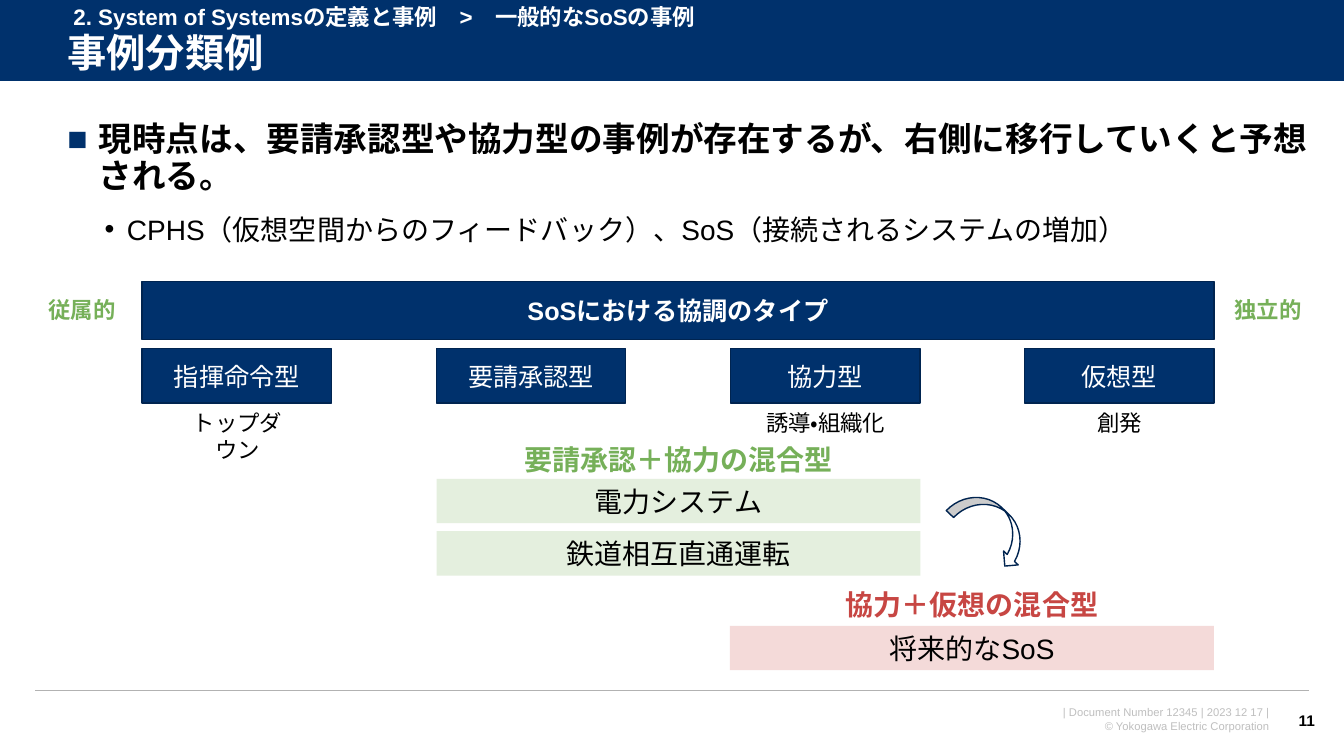
from dataclasses import dataclass

from lxml.etree import SubElement
from pptx import Presentation
from pptx.dml.color import RGBColor
from pptx.enum.lang import MSO_LANGUAGE_ID as LANG
from pptx.enum.shapes import MSO_CONNECTOR, MSO_SHAPE
from pptx.enum.text import MSO_ANCHOR, MSO_AUTO_SIZE, PP_ALIGN
from pptx.oxml.ns import qn
from pptx.util import Inches, Pt


@dataclass(frozen=True)
class Theme:
    font: str = "Arial"
    navy: str = "00316C"
    navy_edge: str = "002450"
    white: str = "FFFFFF"
    black: str = "000000"
    green: str = "76B059"
    pale_green: str = "E4EFDE"
    red: str = "C74643"
    pale_red: str = "F4DAD9"
    rule: str = "B2B2B2"
    footer: str = "BFBFBF"
    title_size: int = 28
    lead_size: int = 24
    body_size: int = 20
    type_size: int = 18
    label_size: int = 16
    number_size: int = 11
    footer_size: int = 8


T = Theme()
LEFT, CENTER, RIGHT = PP_ALIGN.LEFT, PP_ALIGN.CENTER, PP_ALIGN.RIGHT
TOP, MIDDLE = MSO_ANCHOR.TOP, MSO_ANCHOR.MIDDLE

prs = Presentation()
prs.slide_width, prs.slide_height = Inches(13.33), Inches(7.5)
s = prs.slides.add_slide(prs.slide_layouts[5])


def write(sp, lines, size, color, bold=False, align=CENTER, anchor=TOP):
    """Fill a shape with one paragraph per line and return its text frame."""
    tf = sp.text_frame
    tf.word_wrap, tf.auto_size, tf.vertical_anchor = True, MSO_AUTO_SIZE.NONE, anchor
    for i, line in enumerate(lines):
        p = tf.paragraphs[0] if i == 0 else tf.add_paragraph()
        p.alignment = align
        r = p.add_run()
        r.text = line
        look = {"name": T.font, "size": Pt(size), "bold": bold,
                "language_id": LANG.JAPANESE}
        for key, value in look.items():
            setattr(r.font, key, value)
        r.font.color.rgb = RGBColor.from_string(color)
    return tf


def add_block(box, fill, edge=None, kind=MSO_SHAPE.RECTANGLE):
    """Add a filled preset shape, outlined only if an edge colour is given."""
    sp = s.shapes.add_shape(kind, *map(Inches, box))
    sp.shadow.inherit = False
    sp.fill.solid()
    sp.fill.fore_color.rgb = RGBColor.from_string(fill)
    if edge:
        sp.line.color.rgb = RGBColor.from_string(edge)
        sp.line.width = Pt(1)
    else:
        sp.line.fill.background()
    return sp


# Header band, placed behind the title
band = add_block((0, 0, 13.33, 0.81), T.navy)
title = s.shapes.title
title.element.addprevious(band.element)
title.left, title.top, title.width, title.height = map(Inches, (0.57, 0.26, 12.47, 0.57))
tf = write(title, ["事例分類例"], T.title_size, T.white, True, LEFT, MIDDLE)
tf.paragraphs[0].line_spacing = 0.9

# Rules under the header and above the footer
for x1, x2, y, color, width in [(0, 13.33, 0.81, T.white, 0.75),
                                (0.35, 12.98, 6.85, T.rule, 1)]:
    rule = s.shapes.add_connector(MSO_CONNECTOR.STRAIGHT, Inches(x1), Inches(y),
                                  Inches(x2), Inches(y))
    rule.line.color.rgb = RGBColor.from_string(color)
    rule.line.width = Pt(width)
    SubElement(rule.element.spPr, qn("a:effectLst"))

# Main message with its two bullet levels
message = s.shapes.add_textbox(*map(Inches, (0.57, 1.17, 12.69, 1.4)))
tf = write(message,
           ["現時点は、要請承認型や協力型の事例が存在するが、右側に移行していくと予想される。",
            "CPHS（仮想空間からのフィードバック）、SoS（接続されるシステムの増加）"],
           T.lead_size, T.black, True, LEFT)
levels = [("■", T.navy, 0.31, 0.31), ("•", T.black, 0.59, 0.22)]
for p, (mark, color, margin, hang) in zip(tf.paragraphs, levels):
    pPr = p._p.get_or_add_pPr()
    pPr.set("marL", str(Inches(margin)))
    pPr.set("indent", str(-Inches(hang)))
    SubElement(SubElement(pPr, qn("a:buClr")), qn("a:srgbClr"), val=color)
    SubElement(pPr, qn("a:buFont"), typeface=T.font)
    SubElement(pPr, qn("a:buChar"), char=mark)
lead, detail = tf.paragraphs
lead.line_spacing = 0.9
detail.level = 1
detail.space_before = Pt(12)
detail.runs[0].font.size = Pt(T.body_size)
detail.runs[0].font.bold = False

# Scale of cooperation types
scale = add_block((1.41, 2.79, 10.63, 0.58), T.navy, T.navy_edge)
write(scale, ["SoSにおける協調のタイプ"], T.type_size, T.white, True, anchor=MIDDLE)
first_x, step, type_w = 1.41, 2.917, 1.88
for i, name in enumerate(["指揮命令型", "要請承認型", "協力型", "仮想型"]):
    sp = add_block((first_x + i * step, 3.46, type_w, 0.54), T.navy, T.navy_edge)
    write(sp, [name], T.type_size, T.white, anchor=MIDDLE)

# Example systems
for x, y, name, fill in [(4.33, 4.75, "電力システム", T.pale_green),
                         (4.33, 5.27, "鉄道相互直通運転", T.pale_green),
                         (7.24, 6.21, "将来的なSoS", T.pale_red)]:
    write(add_block((x, y, 4.8, 0.44), fill), [name], T.body_size, T.black, anchor=MIDDLE)

# Labels, header path and footer
labels = [
    ((0.63, -0.02, 7.47, 0.37), ["2. System of Systemsの定義と事例　>　一般的なSoSの事例"],
     T.label_size, T.white, True, LEFT),
    ((0.33, 2.89, 0.97, 0.37), ["従属的"], T.label_size, T.green, True),
    ((12.09, 2.89, 0.97, 0.37), ["独立的"], T.label_size, T.green, True),
    ((1.77, 4.01, 1.17, 0.64), ["トップダウン"], T.label_size, T.black),
    ((7.43, 4.01, 1.52, 0.37), ["誘導・組織化"], T.label_size, T.black),
    ((10.52, 4.01, 1.17, 0.37), ["創発"], T.label_size, T.black),
    ((4.94, 4.34, 3.58, 0.44), ["要請承認＋協力の混合型"], T.body_size, T.green, True),
    ((7.85, 5.78, 3.58, 0.44), ["協力＋仮想の混合型"], T.body_size, T.red, True),
    ((9.48, 6.95, 3.21, 0.37),
     ["| Document Number 12345 | 2023 12 17 |", "© Yokogawa Electric Corporation"],
     T.footer_size, T.footer, False, RIGHT),
    ((12.7, 6.95, 0.44, 0.4), ["11"], T.number_size, T.black, True, RIGHT, MIDDLE),
]
for box, *text in labels:
    write(s.shapes.add_textbox(*map(Inches, box)), *text)

# Arrow towards the future mix
arrow = add_block((9.65, 4.78, 0.4, 0.9), T.white, T.navy_edge, MSO_SHAPE.CURVED_LEFT_ARROW)
arrow.rotation = 313.5

prs.save("out.pptx")
